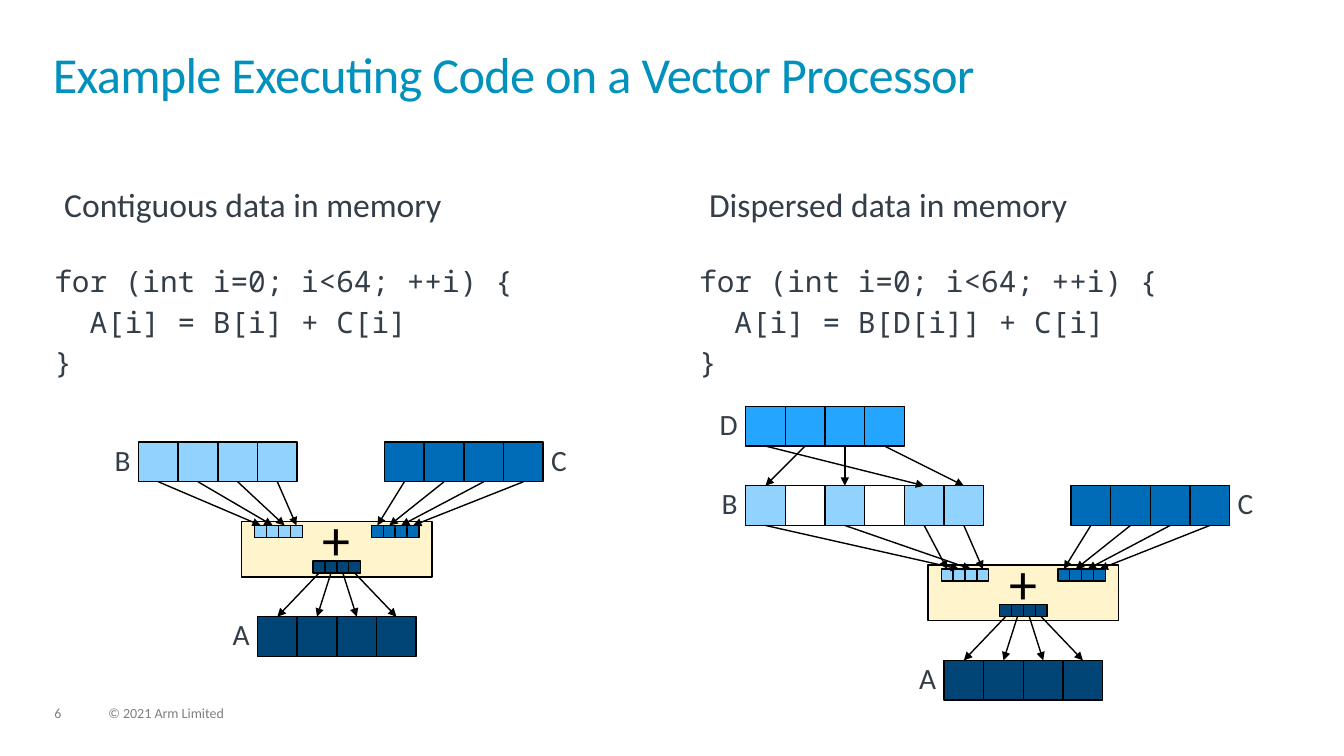
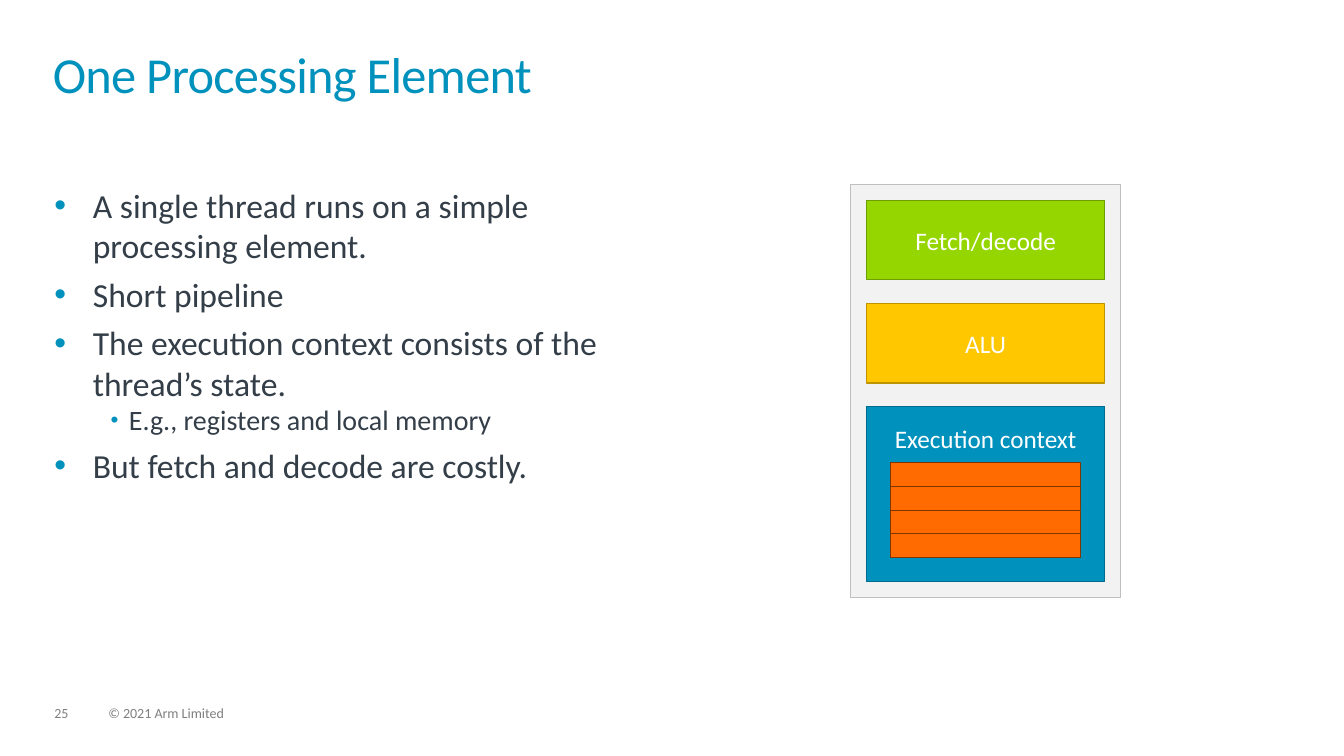
"""Build two slides on vector processing and a processing element."""
from lxml.etree import SubElement
from pptx import Presentation
from pptx.dml.color import RGBColor
from pptx.enum.shapes import MSO_CONNECTOR as Connector, MSO_SHAPE as Shape
from pptx.enum.text import MSO_ANCHOR as Anchor, MSO_AUTO_SIZE as AutoSize, PP_ALIGN as Align
from pptx.oxml.ns import qn
from pptx.util import Cm, Pt

COLORS = {
    "title": "0091BD", "text": "333E48", "footer": "7F7F7F",
    "black": "000000", "white": "FFFFFF",
    "index": "24A5FF", "first": "92D2FF", "second": "006BB6", "result": "004575",
    "adder": "FFF4CC", "panel": "F2F2F2", "panel line": "BFBFBF",
    "fetch": "95D600", "fetch line": "6E9E00", "alu": "FFC700", "alu line": "BD9300",
    "context": "0091BD", "context line": "006B8C",
    "register": "FF6B00", "register line": "803600",
}
SANS, MONO = "Calibri", "Noto Sans Mono"
TOP, BOTTOM = 0, 2
CELL, LANE = 1, 0.3
DEFAULT_INSETS = (0.25, 0.13, 0.25, 0.13)
NO_INSETS = (0, 0, 0, 0)


def color(name):
    return RGBColor.from_string(COLORS[name])


class Deck:
    """Holds the shared style and the slide being built."""

    def __init__(self):
        self.presentation = Presentation()
        self.presentation.slide_width = Cm(33.87)
        self.presentation.slide_height = Cm(19.05)
        self.slide = None

    def add_slide(self, layout, title, number):
        layouts = self.presentation.slide_layouts
        self.slide = self.presentation.slides.add_slide(layouts.get_by_name(layout))
        shape = self.slide.shapes.title
        self.place(shape, 1.33, 1.33, 31.2, 1.83)
        self.set_text(shape, title, 36, "title", spacing=0.85)
        for run in shape.text_frame.paragraphs[0].runs:
            run.font._element.set("spc", "-50")
        for left, width, text in ((1.37, 0.86, str(number)), (2.73, 12.88, "© 2021 Arm Limited")):
            self.text(left, 17.8, width, 0.38, text, 10, "footer", spacing=0.9)

    def place(self, shape, left, top, width, height):
        shape.left, shape.top = Cm(left), Cm(top)
        shape.width, shape.height = Cm(width), Cm(height)

    def set_text(self, shape, text, size, ink, font=SANS, align=Align.LEFT, spacing=1.0,
                 after=0, insets=NO_INSETS, anchor=Anchor.TOP):
        frame = shape.text_frame
        frame.text = text
        frame.word_wrap = True
        frame.auto_size = AutoSize.NONE
        frame.vertical_anchor = anchor
        (frame.margin_left, frame.margin_top,
         frame.margin_right, frame.margin_bottom) = map(Cm, insets)
        for paragraph in frame.paragraphs:
            paragraph.alignment = align
            paragraph.line_spacing = spacing
            paragraph.space_before = Pt(0)
            paragraph.space_after = Pt(after)
            for run in paragraph.runs:
                run.font.name = font
                run.font.size = Pt(size)
                run.font.color.rgb = color(ink)

    def text(self, left, top, width, height, text, size, ink="text", **style):
        box = self.slide.shapes.add_textbox(Cm(left), Cm(top), Cm(width), Cm(height))
        self.set_text(box, text, size, ink, **style)

    def code(self, left, lines):
        self.text(left, 6.71, 14.8, 2.87, "\n".join(lines), 21,
                  font=MONO, spacing=Pt(23), after=6)

    def bullets(self, items):
        body = self.slide.placeholders[1]
        self.place(body, 1.37, 4.65, 15.2, 11.35)
        self.set_text(body, "\n".join(text for _, text in items), 24, "text")
        for position, (level, _) in enumerate(items):
            paragraph = body.text_frame.paragraphs[position]
            paragraph.level = level
            margin, hanging, scale, size = ((0.97, 0.97, 100, 24), (1.88, 0.46, 80, 20))[level]
            properties = paragraph._p.get_or_add_pPr()
            properties.set("marL", str(Cm(margin)))
            properties.set("indent", str(-Cm(hanging)))
            bullet_color = SubElement(properties, qn("a:buClr"))
            SubElement(bullet_color, qn("a:srgbClr"), val=COLORS["title"])
            SubElement(properties, qn("a:buSzPct"), val=str(scale * 1000))
            SubElement(properties, qn("a:buFont"), typeface="Arial")
            SubElement(properties, qn("a:buChar"), char="•")
            paragraph.space_before = Pt(6 if position and level == 0 else 0)
            for run in paragraph.runs:
                run.font.size = Pt(size)

    def rectangle(self, left, top, width, height, fill, line="black", weight=1):
        shape = self.slide.shapes.add_shape(
            Shape.RECTANGLE, Cm(left), Cm(top), Cm(width), Cm(height))
        shape.shadow.inherit = False
        shape.fill.solid()
        shape.fill.fore_color.rgb = color(fill)
        shape.line.color.rgb = color(line)
        shape.line.width = Pt(weight)
        return shape

    def cells(self, left, top, size, fills):
        return [self.rectangle(left + size * column, top, size, size, fill)
                for column, fill in enumerate(fills)]

    def array(self, left, top, fills, label, label_after=False):
        label_left = left + CELL * len(fills) if label_after else left - 0.8
        self.text(label_left, top + 0.09, 0.8, 0.82, label, 21, spacing=0.9,
                  align=Align.LEFT if label_after else Align.RIGHT,
                  insets=(0.2, 0, 0, 0) if label_after else (0, 0, 0.2, 0))
        return self.cells(left, top, CELL, fills)

    def arrows(self, sources, targets):
        for source, target in zip(sources, targets):
            arrow = self.slide.shapes.add_connector(Connector.STRAIGHT, 0, 0, 0, 0)
            arrow.begin_connect(source, BOTTOM)
            arrow.end_connect(target, TOP)
            arrow.line.color.rgb = color("black")
            arrow.line.width = Pt(1)
            SubElement(arrow.line._get_or_add_ln(), qn("a:tailEnd"), type="triangle")
            SubElement(arrow._element.spPr, qn("a:effectLst"))

    def vector_adder(self, left, top, first_left, first_fills, order):
        adder = self.rectangle(left, top, 4.8, 1.4, "adder")
        self.set_text(adder, "+", 40, "black", align=Align.CENTER,
                      insets=DEFAULT_INSETS, anchor=Anchor.BOTTOM)
        first = self.array(first_left, top - 2, first_fills, "B")
        second = self.array(left + 3.6, top - 2, ["second"] * 4, "C", label_after=True)
        result = self.array(left + 0.4, top + 2.4, ["result"] * 4, "A")
        first_lanes, second_lanes, result_lanes = (
            self.cells(left + offset, top + drop, LANE, [fill] * 4)
            for offset, drop, fill in (
                (0.33, 0.1, "first"), (3.27, 0.1, "second"), (1.8, 1, "result")))
        gathered = [first[index] for index in order]
        self.arrows(gathered, first_lanes)
        self.arrows(second, second_lanes)
        self.arrows(result_lanes, result)
        return gathered

    def block(self, left, top, height, label, name, **style):
        shape = self.rectangle(left, top, 6, height, name, f"{name} line")
        self.set_text(shape, label, 18, "white", align=Align.CENTER, **style)


def vector_slide(deck):
    deck.add_slide("Title Only", "Example Executing Code on a Vector Processor", 6)
    columns = ((1.37, "Contiguous data in memory", "B[i]"),
               (17.62, "Dispersed data in memory", "B[D[i]]"))
    for left, heading, operand in columns:
        deck.text(left, 4.5, 14.8, 1.55, heading, 24, insets=DEFAULT_INSETS)
        deck.code(left, ("for (int i=0; i<64; ++i) {", f"  A[i] = {operand} + C[i]", "}"))
    deck.vector_adder(6.09, 13.14, 3.49, ["first"] * 4, range(4))
    dispersed = ["first", "white", "first", "white", "first", "first"]
    gathered = deck.vector_adder(23.39, 14.24, 18.79, dispersed, (4, 0, 2, 5))
    indices = deck.array(18.79, 10.24, ["index"] * 4, "D")
    deck.arrows(indices, gathered)


def element_slide(deck):
    deck.add_slide("Title and Content", "One Processing Element", 25)
    deck.bullets((
        (0, "A single thread runs on a simple processing element."),
        (0, "Short pipeline"),
        (0, "The execution context consists of the thread’s state."),
        (1, "E.g., registers and local memory"),
        (0, "But fetch and decode are costly."),
    ))
    left, top = 21.44, 4.65
    deck.rectangle(left, top, 6.8, 10.4, "panel", "panel line", 0.5)
    middle = {"insets": DEFAULT_INSETS, "anchor": Anchor.MIDDLE}
    blocks = (("Fetch/decode", "fetch", 2, middle), ("ALU", "alu", 2, middle),
              ("Execution context", "context", 4.4, {"insets": (0.25, 0.41, 0.25, 0.13)}))
    for row, (label, name, height, style) in enumerate(blocks):
        deck.block(left + 0.4, top + 0.4 + 2.6 * row, height, label, name, **style)
    for row in range(4):
        deck.rectangle(left + 1, top + 7 + 0.6 * row, 4.8, 0.6, "register", "register line", 0.5)


def main():
    deck = Deck()
    vector_slide(deck)
    element_slide(deck)
    deck.presentation.save("out.pptx")


if __name__ == "__main__":
    main()
